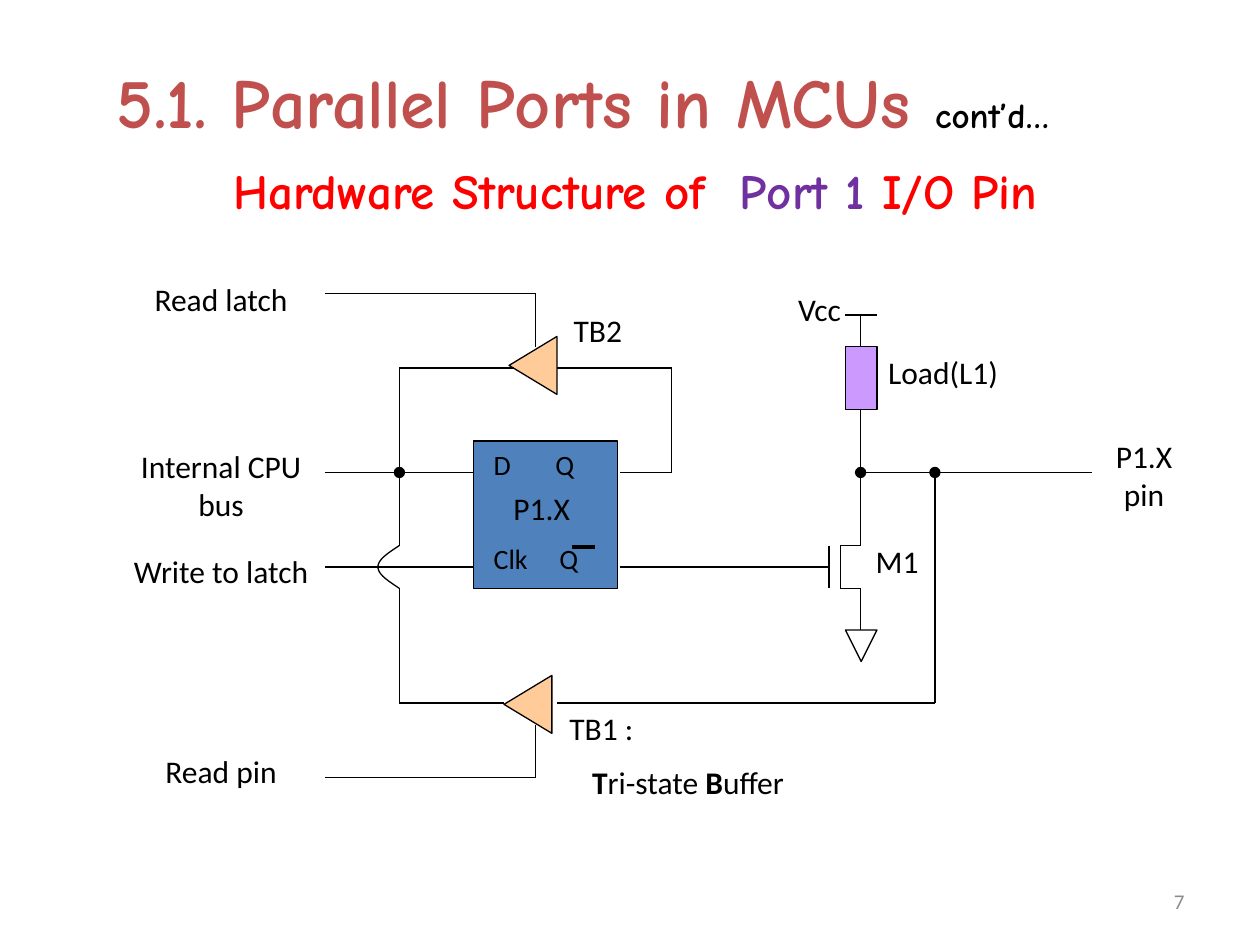
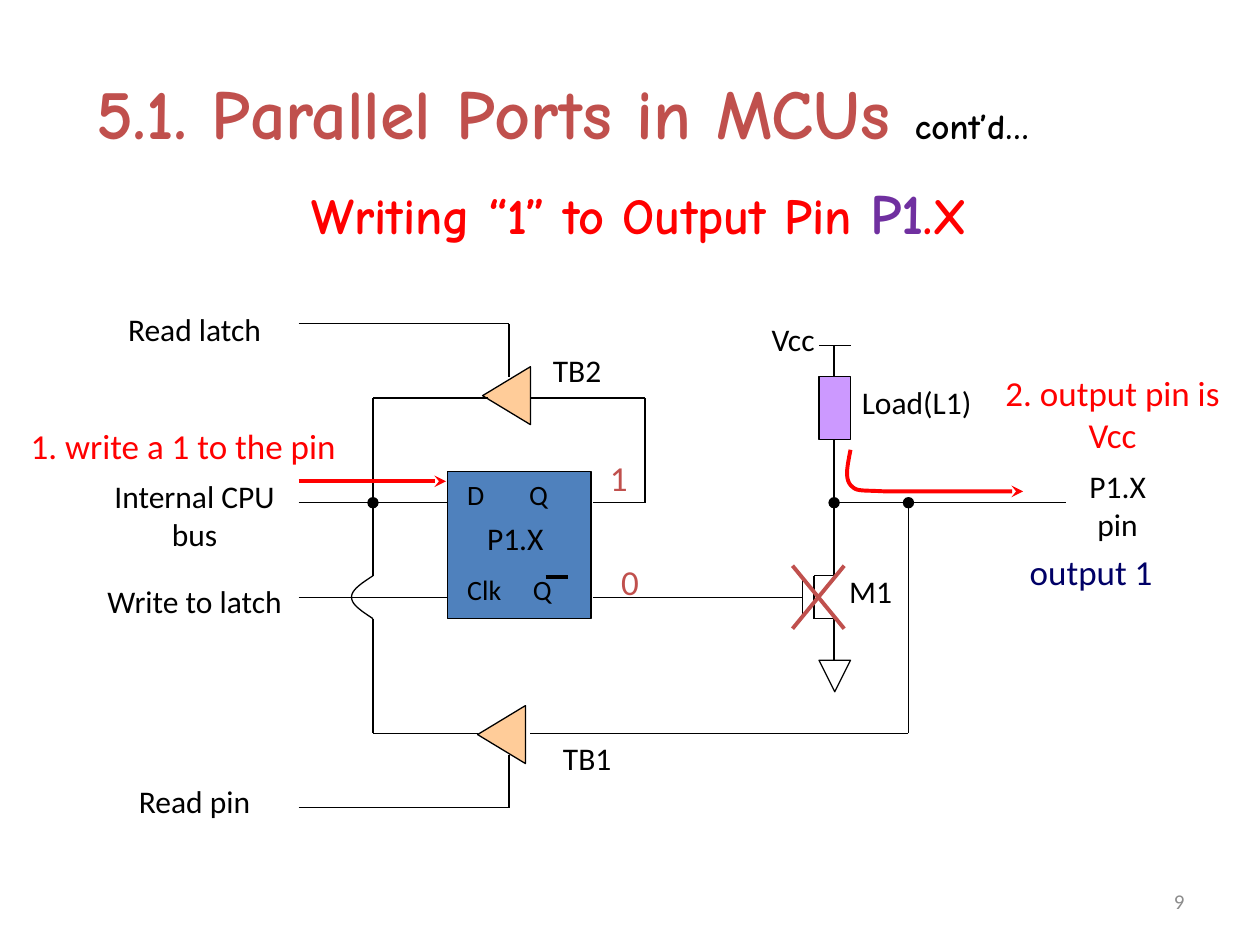
"""Build two slides on the hardware of an MCU Port 1 pin."""
from dataclasses import dataclass

from lxml.etree import SubElement
from pptx import Presentation
from pptx.dml.color import RGBColor
from pptx.enum.shapes import MSO_CONNECTOR as Connector, MSO_SHAPE as Preset
from pptx.enum.text import MSO_ANCHOR as Anchor, PP_ALIGN as Align
from pptx.oxml.ns import qn
from pptx.util import Inches, Pt


@dataclass(frozen=True)
class Theme:
    body_font: str = "Calibri"
    title_font: str = "Comic Neue"
    black: str = "000000"
    red: str = "FF0000"
    brick: str = "C0504D"
    purple: str = "7030A0"
    navy: str = "000066"
    gray: str = "8C8C8C"
    latch: str = "4F81BD"
    buffer: str = "FFCC99"
    load: str = "CC99FF"
    heading_size: float = 40
    title_size: float = 28
    callout_size: float = 20
    label_size: float = 18
    port_size: float = 16
    number_size: float = 12
    wire: float = 0.75
    bar: float = 2
    signal: float = 2.25


theme = Theme()


def write(shape, lines, align=Align.CENTER, font_name=theme.body_font):
    """Fill a shape with lines of (text, size, color, bold) runs."""
    frame = shape.text_frame
    frame.word_wrap = True
    for index, runs in enumerate(lines):
        paragraph = frame.add_paragraph() if index else frame.paragraphs[0]
        paragraph.alignment = align
        for text, size, color, bold in runs:
            run = paragraph.add_run()
            run.text = text
            font_format = {"name": font_name, "size": Pt(size), "bold": bold}
            for attribute, value in font_format.items():
                setattr(run.font, attribute, value)
            run.font.color.rgb = RGBColor.from_string(color)
    return frame


def draw_line(shape, color=theme.black, width=theme.wire, arrow=False):
    """Style an outline without shadow, with an optional stealth arrowhead."""
    shape.line.color.rgb = RGBColor.from_string(color)
    shape.line.width = Pt(width)
    properties = shape._element.spPr
    if arrow:
        SubElement(properties.find(qn("a:ln")), qn("a:tailEnd"), type="stealth")
    if properties.find(qn("a:effectLst")) is None:
        SubElement(properties, qn("a:effectLst"))


symbols = [
    (Preset.RECTANGLE, 3.76, 3.5, 1.14, 1.17, 0, theme.latch),
    (Preset.RECTANGLE, 6.71, 2.75, 0.25, 0.5, 0, theme.load),
    (Preset.ISOSCELES_TRIANGLE, 4, 2.71, 0.46, 0.38, 270, theme.buffer),
    (Preset.ISOSCELES_TRIANGLE, 3.96, 5.4, 0.46, 0.38, 270, theme.buffer),
    (Preset.ISOSCELES_TRIANGLE, 6.71, 5, 0.25, 0.25, 180, None),
]
symbols += [(Preset.OVAL, center - 0.04, 3.71, 0.08, 0.08, 0, theme.black)
            for center in (3.17, 6.83, 7.42)]

wires = [
    [(2.58, 3.75), (3.76, 3.75)],
    [(2.58, 4.5), (3.76, 4.5)],
    [(4.42, 2.92), (5.33, 2.92), (5.33, 3.75), (4.92, 3.75)],
    [(4.92, 4.5), (6.58, 4.5)],
    [(6.58, 4.33), (6.58, 4.67)],
    [(6.83, 3.25), (6.83, 4.33), (6.67, 4.33), (6.67, 4.67), (6.83, 4.67), (6.83, 5)],
    [(6.83, 3.75), (8.67, 3.75)],
    [(6.83, 2.5), (6.83, 2.75)],
    [(6.71, 2.5), (6.96, 2.5)],
    [(7.42, 3.75), (7.42, 5.58), (4.42, 5.58)],
    [(4.08, 2.92), (3.17, 2.92), (3.17, 4.33)],
    [(3.17, 4.67), (3.17, 5.58), (4, 5.58)],
    [(2.58, 2.33), (4.25, 2.33), (4.25, 2.75)],
    [(2.58, 6.17), (4.25, 6.17), (4.25, 5.75)],
]

labels = [
    ("Read latch", 0.92, 2.17, 1.67, 0.4),
    ("Read pin", 0.92, 5.92, 1.67, 0.4),
    ("Write to latch", 0.92, 4.33, 1.67, 0.4),
    ("Internal CPU bus", 0.92, 3.5, 1.67, 0.7),
    ("Vcc", 6.17, 2.25, 0.67, 0.4),
    ("Load(L1)", 6.86, 2.75, 1.25, 0.4),
    ("M1", 6.83, 4.25, 0.58, 0.4),
    ("P1.X pin", 8.58, 3.42, 1, 0.7),
    ("P1.X", 3.8, 3.83, 1, 0.4),
]

bus_hop = [[(3.17, 4.33), (3.08, 4.39), (3, 4.44), (3, 4.5)],
           [(3, 4.5), (3, 4.56), (3.08, 4.61), (3.17, 4.67)]]
pin_current = [[(6.75, 3.57), (6.73, 3.68), (6.7, 3.79), (6.75, 3.85)],
               [(6.75, 3.85), (6.8, 3.9), (6.8, 3.89), (7.02, 3.9)],
               [(7.02, 3.9), (7.25, 3.9), (7.69, 3.9), (8.12, 3.9)]]

slides = [
    {
        "number": "7",
        "heading": (0.83, 0.08, 8.77, 1),
        "title_box": (1.17, 1.17, 7.75, 0.67),
        "title": [("Hardware Structure of  ", theme.title_size, theme.red, True),
                  ("Port 1", theme.title_size, theme.purple, True),
                  (" I/O Pin", theme.title_size, theme.red, True)],
        "shift": (0, 0),
        "notes": [("TB2", 4.33, 2.42, 0.83, 0.4, theme.label_size, theme.black)],
        "signals": [],
        "curves": [(bus_hop, theme.black, theme.wire, False)],
    },
    {
        "number": "9",
        "heading": (0.67, 0.17, 8.77, 1.11),
        "title_box": (0.58, 1.33, 9, 0.7),
        "title": [("Writing “1” to Output Pin ", 28.8, theme.red, True),
                  ("P1", 32.4, theme.purple, True),
                  (".X", 28.8, theme.red, True)],
        "shift": (-0.21, 0.24),
        "notes": [
            ("TB1", 4.2, 5.82, 0.92, 0.4, theme.label_size, theme.black),
            ("TB2", 4.12, 2.74, 0.92, 0.4, theme.label_size, theme.black),
            ("2. output pin is Vcc", 7.87, 2.9, 1.92, 0.77, theme.callout_size, theme.red),
            ("1. write a 1 to the pin", 0.04, 3.32, 2.83, 0.43, theme.callout_size, theme.red),
            ("1", 4.7, 3.57, 0.42, 0.43, theme.callout_size, theme.brick),
            ("0", 4.79, 4.4, 0.42, 0.43, theme.callout_size, theme.brick),
            ("output 1", 7.87, 4.32, 1.58, 0.43, theme.callout_size, theme.navy),
        ],
        "signals": [((2.37, 3.82), (3.54, 3.82), theme.red, True),
                    ((6.29, 4.49), (6.7, 4.99), theme.brick, False),
                    ((6.7, 4.49), (6.29, 4.99), theme.brick, False)],
        "curves": [([[(x - 0.21, y + 0.24) for x, y in part] for part in bus_hop],
                    theme.black, theme.wire, False),
                   (pin_current, theme.red, theme.signal, True)],
    },
]

presentation = Presentation()
presentation.slide_width, presentation.slide_height = Inches(10), Inches(7.5)

for content in slides:
    slide = presentation.slides.add_slide(presentation.slide_layouts[5])
    shapes = slide.shapes
    shift_x, shift_y = content["shift"]

    title = shapes.title
    for side, value in zip(("left", "top", "width", "height"), content["title_box"]):
        setattr(title, side, Inches(value))
    write(title, [content["title"]], font_name=theme.title_font)
    title.text_frame.vertical_anchor = Anchor.MIDDLE

    heading = shapes.add_textbox(*map(Inches, content["heading"]))
    heading_runs = [("5.1. Parallel Ports in MCUs ", theme.heading_size, theme.brick, True),
                    ("cont’d…", theme.callout_size, theme.black, True)]
    frame = write(heading, [heading_runs], Align.LEFT, theme.title_font)
    frame.paragraphs[0].line_spacing = 1.5

    for preset, left, top, width, height, rotation, fill in symbols:
        symbol = shapes.add_shape(preset, Inches(left + shift_x), Inches(top + shift_y),
                                  Inches(width), Inches(height))
        symbol.rotation = rotation
        symbol.shadow.inherit = False
        if fill:
            symbol.fill.solid()
            symbol.fill.fore_color.rgb = RGBColor.from_string(fill)
        else:
            symbol.fill.background()
        draw_line(symbol)

    segments = [((x1 + shift_x, y1 + shift_y), (x2 + shift_x, y2 + shift_y),
                 theme.black, theme.wire, False)
                for wire in wires for (x1, y1), (x2, y2) in zip(wire, wire[1:])]
    segments.append(((4.54 + shift_x, 4.34 + shift_y), (4.72 + shift_x, 4.34 + shift_y),
                     theme.black, theme.bar, False))
    segments += [(start, end, color, theme.signal, arrow)
                 for start, end, color, arrow in content["signals"]]
    for start, end, color, width, arrow in segments:
        connector = shapes.add_connector(Connector.STRAIGHT, *map(Inches, start + end))
        draw_line(connector, color, width, arrow)

    for parts, color, width, arrow in content["curves"]:
        points = [parts[0][0]]
        for p0, p1, p2, p3 in parts:
            for step in range(1, 13):
                t = step / 12
                points.append([(1 - t) ** 3 * a + 3 * t * (1 - t) ** 2 * b
                               + 3 * t ** 2 * (1 - t) * c + t ** 3 * d
                               for a, b, c, d in zip(p0, p1, p2, p3)])
        vertices = [(Inches(x), Inches(y)) for x, y in points]
        builder = shapes.build_freeform(*vertices[0])
        builder.add_line_segments(vertices[1:], close=False)
        curve = builder.convert_to_shape()
        curve.fill.background()
        draw_line(curve, color, width, arrow)

    ports = shapes.add_textbox(Inches(3.82 + shift_x), Inches(3.5 + shift_y),
                               Inches(1.02), Inches(1.17))
    port_lines = [[(text, theme.port_size, theme.black, False)] for text in ("D\tQ", "Clk\tQ")]
    frame = write(ports, port_lines, Align.LEFT)
    for paragraph, tab_stop in zip(frame.paragraphs, (0.49, 0.52)):
        tabs = SubElement(paragraph._p.get_or_add_pPr(), qn("a:tabLst"))
        SubElement(tabs, qn("a:tab"), pos=str(Inches(tab_stop)), algn="l")
    frame.paragraphs[1].space_before = Pt(35)

    notes = [(text, left + shift_x, top + shift_y, width, height, theme.label_size, theme.black)
             for text, left, top, width, height in labels]
    for text, left, top, width, height, size, color in notes + content["notes"]:
        note = shapes.add_textbox(Inches(left), Inches(top), Inches(width), Inches(height))
        write(note, [[(text, size, color, False)]])

    number = shapes.add_textbox(Inches(7.17), Inches(6.95), Inches(2.33), Inches(0.4))
    frame = write(number, [[(content["number"], theme.number_size, theme.gray, False)]], Align.RIGHT)
    frame.vertical_anchor = Anchor.MIDDLE

buffer_name = [(text, theme.label_size, theme.black, bold) for text, bold in
               (("T", True), ("ri-state ", False), ("B", True), ("uffer", False))]
buffer_note = presentation.slides[0].shapes.add_textbox(
    Inches(4.42), Inches(5.58), Inches(2.08), Inches(0.86))
frame = write(buffer_note, [[("TB1 :", theme.label_size, theme.black, False)], buffer_name])
frame.paragraphs[0].alignment = Align.LEFT
frame.paragraphs[1].space_before = Pt(9)

presentation.save("out.pptx")
